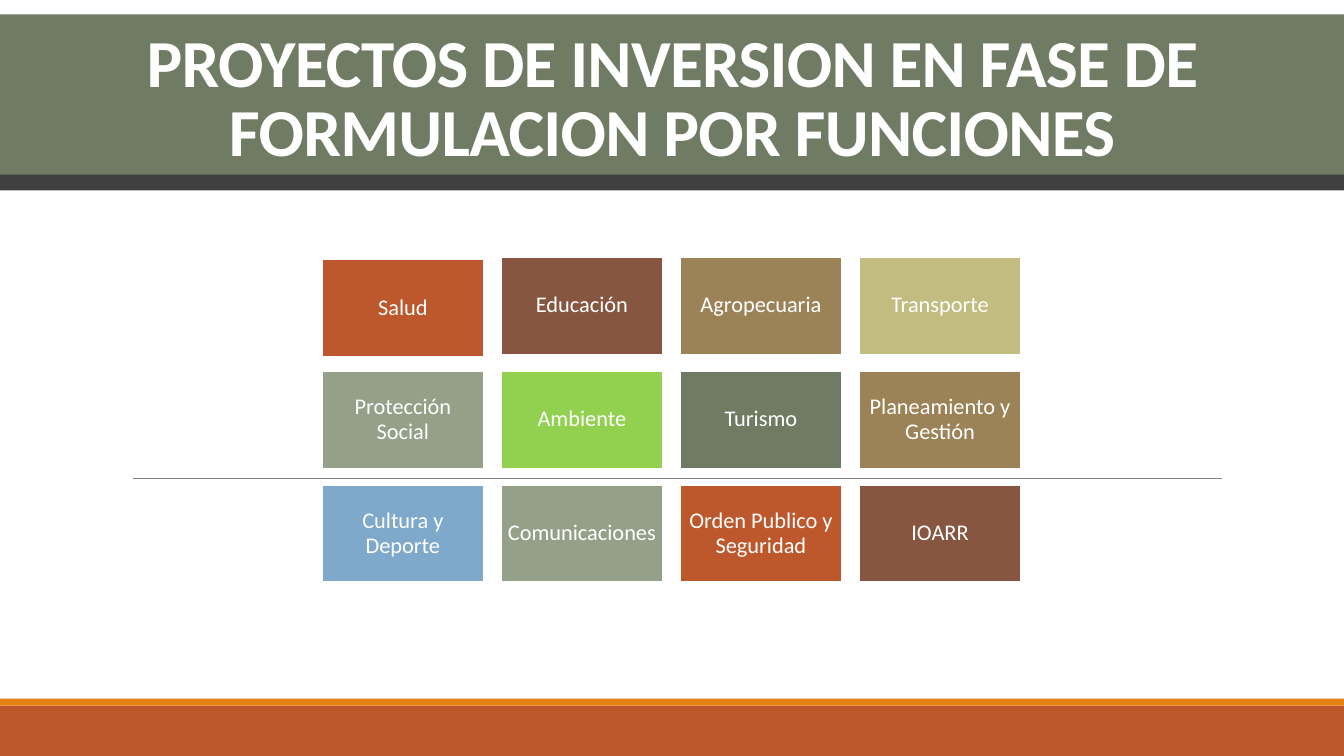
import dataclasses

import lxml.etree
import pptx
import pptx.dml.color
import pptx.enum.shapes
import pptx.enum.text
import pptx.oxml.ns
import pptx.util

Pt = pptx.util.Pt
RGBColor = pptx.dml.color.RGBColor
MIDDLE = pptx.enum.text.MSO_ANCHOR.MIDDLE
CENTER = pptx.enum.text.PP_ALIGN.CENTER

WHITE = RGBColor(0xFF, 0xFF, 0xFF)
GRAY = RGBColor(0x80, 0x80, 0x80)
CHARCOAL = RGBColor(0x40, 0x40, 0x40)
ORANGE = RGBColor(0xE4, 0x83, 0x12)
RUST = RGBColor(0xBD, 0x58, 0x2C)
BROWN = RGBColor(0x86, 0x56, 0x40)
OCHRE = RGBColor(0x9B, 0x83, 0x57)
SAND = RGBColor(0xC2, 0xBC, 0x80)
SAGE = RGBColor(0x94, 0xA0, 0x88)
LIME = RGBColor(0x92, 0xD0, 0x50)
MOSS = RGBColor(0x6F, 0x7B, 0x63)
BLUE = RGBColor(0x7E, 0xA9, 0xCA)

PAGE_WIDTH, PAGE_HEIGHT = 960, 540
COLUMNS = 4
GRID_LEFT, GRID_TOP = 229.8, 183.6
TILE_WIDTH, TILE_HEIGHT = 116, 69.6
COLUMN_STEP, ROW_STEP = 127.9, 81.4

TITLE_FONT = {"name": "Calibri", "size": Pt(48), "bold": True}
TILE_FONT = {"name": "Calibri", "size": Pt(16), "bold": False}


@dataclasses.dataclass(frozen=True)
class Band:
    top: float
    height: float
    color: RGBColor


@dataclasses.dataclass(frozen=True)
class Tile:
    label: str
    color: RGBColor
    drop: float = 0


BANDS = [
    Band(504, 36, RUST),
    Band(499, 5, ORANGE),
    Band(124.8, 11.2, CHARCOAL),
]

TILES = [
    Tile("Salud", RUST, drop=1.5),
    Tile("Educación", BROWN),
    Tile("Agropecuaria", OCHRE),
    Tile("Transporte", SAND),
    Tile("Protección Social", SAGE),
    Tile("Ambiente", LIME),
    Tile("Turismo", MOSS),
    Tile("Planeamiento y Gestión", OCHRE),
    Tile("Cultura y Deporte", BLUE),
    Tile("Comunicaciones", SAGE),
    Tile("Orden Publico y Seguridad", RUST),
    Tile("IOARR", BROWN),
]


def add_box(page, left: float, top: float, width: float, height: float, color: RGBColor):
    box = page.shapes.add_shape(
        pptx.enum.shapes.MSO_SHAPE.RECTANGLE, Pt(left), Pt(top), Pt(width), Pt(height)
    )
    box.shadow.inherit = False
    box.fill.solid()
    box.fill.fore_color.rgb = color
    box.line.fill.background()
    return box


def write_text(box, text: str, font_format: dict, line_spacing: float):
    para = box.text_frame.paragraphs[0]
    para.alignment = CENTER
    para.line_spacing = line_spacing
    para.space_before = Pt(0)
    span = para.add_run()
    span.text = text
    for name, value in font_format.items():
        setattr(span.font, name, value)
    span.font.color.rgb = WHITE
    return span


def add_title(page) -> None:
    title = page.shapes.title
    for name, value in {"left": 0, "top": 10.2, "width": PAGE_WIDTH, "height": 115}.items():
        setattr(title, name, Pt(value))
    title.fill.solid()
    title.fill.fore_color.rgb = MOSS
    frame = title.text_frame
    frame.word_wrap = True
    frame.auto_size = pptx.enum.text.MSO_AUTO_SIZE.NONE
    frame.vertical_anchor = pptx.enum.text.MSO_ANCHOR.BOTTOM
    span = write_text(
        title, "PROYECTOS DE INVERSION EN FASE DE FORMULACION POR FUNCIONES", TITLE_FONT, 0.85
    )
    span.font._element.set("spc", "-50")


def add_rule(page) -> None:
    rule = page.shapes.add_connector(
        pptx.enum.shapes.MSO_CONNECTOR.STRAIGHT, Pt(95), Pt(342), Pt(872.6), Pt(342)
    )
    rule.line.color.rgb = GRAY
    rule.line.width = Pt(0.5)
    lxml.etree.SubElement(rule._element.spPr, pptx.oxml.ns.qn("a:effectLst"))


def add_tile(page, index: int, tile: Tile) -> None:
    row, column = divmod(index, COLUMNS)
    box = add_box(
        page,
        GRID_LEFT + column * COLUMN_STEP,
        GRID_TOP + row * ROW_STEP + tile.drop,
        TILE_WIDTH,
        TILE_HEIGHT,
        tile.color,
    )
    box.line.color.rgb = WHITE
    box.line.width = Pt(1.25)
    frame = box.text_frame
    frame.word_wrap = True
    frame.vertical_anchor = MIDDLE
    for side in ("left", "top", "right", "bottom"):
        setattr(frame, f"margin_{side}", Pt(4.8))
    write_text(box, tile.label, TILE_FONT, 0.9)


def main() -> None:
    deck = pptx.Presentation()
    deck.slide_width, deck.slide_height = Pt(PAGE_WIDTH), Pt(PAGE_HEIGHT)
    page = deck.slides.add_slide(deck.slide_layouts.get_by_name("Title Only"))

    # Title and horizontal bands
    add_title(page)
    for band in BANDS:
        add_box(page, 0, band.top, PAGE_WIDTH, band.height, band.color)

    # Rule behind the grid of functions
    add_rule(page)
    for index, tile in enumerate(TILES):
        add_tile(page, index, tile)

    deck.save("out.pptx")


if __name__ == "__main__":
    main()
